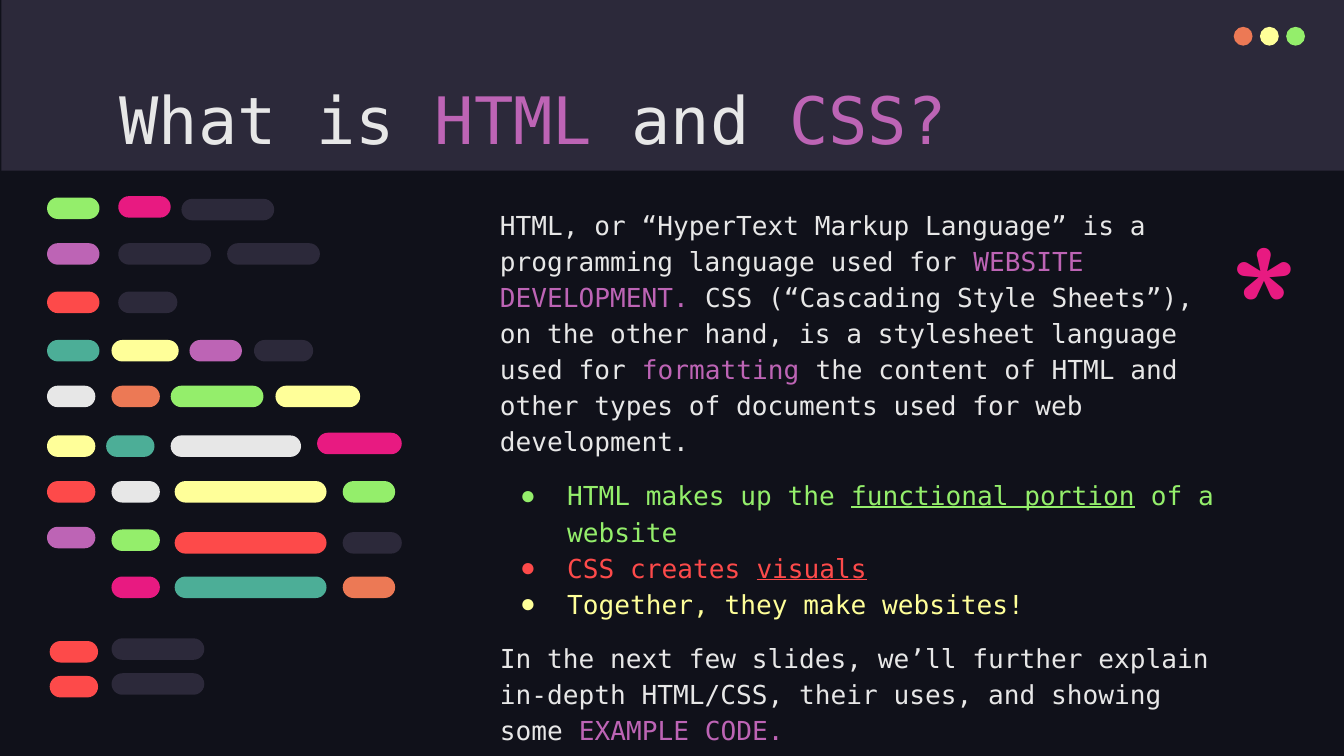
import pptx
import pptx.util
import pptx.dml.color
import pptx.enum.shapes
import pptx.enum.text
import pptx.oxml.ns
from dataclasses import dataclass
from typing import Any, NamedTuple
from lxml import etree

Shape = pptx.enum.shapes.MSO_SHAPE
Align = pptx.enum.text.PP_ALIGN


@dataclass(frozen=True)
class Theme:
    back: str = "10111A"
    bar: str = "2C293A"
    white: str = "E7E7E7"
    plum: str = "BD64B5"
    pink: str = "E81A81"
    red: str = "FD4A4A"
    orange: str = "EC7955"
    yellow: str = "FFFF99"
    green: str = "94EE6B"
    teal: str = "4CAE97"
    mono: str = "DejaVu Sans Mono"
    round: str = "Comfortaa"
    title: int = 35
    body: int = 14
    star: int = 96


class Box(NamedTuple):
    """Left, top, width and height in grid columns and rows."""
    x: float
    y: float
    w: float
    h: float


class Pill(NamedTuple):
    x: float
    y: float
    w: float
    color: str


class Span(NamedTuple):
    text: str
    color: str
    line: bool = False


class Para(NamedTuple):
    spans: list[Span]
    gap: float = 0
    bullet: bool = False


T = Theme()
WIDE = pptx.util.Inches(10)
HIGH = WIDE * 9 // 16
COLS = 1000
UNIT = WIDE // COLS  # square grid cell
PILL = 16  # pill height in rows


def rgb(color: str) -> Any:
    return pptx.dml.color.RGBColor.from_string(color)


def place(box: Box) -> list[int]:
    return [round(v * UNIT) for v in box]


def draw(shapes: Any, kind: Any, box: Box, color: str) -> Any:
    shape = shapes.add_shape(kind, *place(box))
    shape.shadow.inherit = False
    shape.fill.solid()
    shape.fill.fore_color.rgb = rgb(color)
    shape.line.fill.background()
    return shape


def frame(shape: Any, box: Box) -> Any:
    shape.left, shape.top, shape.width, shape.height = place(box)
    text = shape.text_frame
    text.word_wrap = True
    text.auto_size = pptx.enum.text.MSO_AUTO_SIZE.NONE
    text.vertical_anchor = pptx.enum.text.MSO_ANCHOR.TOP
    text.margin_left = text.margin_right = 10 * UNIT
    text.margin_top = text.margin_bottom = 10 * UNIT
    return text


def mark(para: Any, item: Para) -> None:
    """Set the indent and bullet of a paragraph."""
    props = para._p.get_or_add_pPr()
    props.set("marL", str(50 * UNIT if item.bullet else 0))
    props.set("indent", str(-35 * UNIT if item.bullet else 0))
    name = pptx.oxml.ns.qn
    if item.bullet:
        tint = etree.SubElement(props, name("a:buClr"))
        etree.SubElement(tint, name("a:srgbClr"), val=item.spans[0].color)
        etree.SubElement(props, name("a:buChar"), char="●")
    else:
        etree.SubElement(props, name("a:buNone"))


def write(text: Any, items: list[Para], size: int, font: str, pitch: float = 1) -> None:
    for i, item in enumerate(items):
        para = text.add_paragraph() if i else text.paragraphs[0]
        mark(para, item)
        para.alignment = Align.LEFT
        para.line_spacing = pitch
        para.space_before = pptx.util.Pt(item.gap)
        para.font.name = font
        para.font.size = pptx.util.Pt(size)
        for span in item.spans:
            run = para.add_run()
            run.text = span.text
            run.font.color.rgb = rgb(span.color)
            if span.line:
                run.font.underline = True


TITLE = [Para([Span("What is ", T.white), Span("HTML ", T.plum),
               Span("and ", T.white), Span("CSS?", T.plum)])]

BODY = [
    Para([Span("HTML, or “HyperText Markup Language” is a programming language used for ", T.white),
          Span("WEBSITE DEVELOPMENT. ", T.plum),
          Span("CSS (“Cascading Style Sheets”), on the other hand, is a stylesheet "
               "language used for ", T.white),
          Span("formatting", T.plum),
          Span(" the content of HTML and other types of documents used for web "
               "development.", T.white)]),
    Para([Span("HTML makes up the ", T.green), Span("functional portion", T.green, True),
          Span(" of a website", T.green)], 10, True),
    Para([Span("CSS creates ", T.red), Span("visuals", T.red, True)], 0, True),
    Para([Span("Together, they make websites!", T.yellow)], 0, True),
    Para([Span("In the next few slides, we’ll further explain in-depth HTML/CSS, "
               "their uses, and showing some", T.white),
          Span(" EXAMPLE CODE.", T.plum)], 10),
]

# Mock code, line by line
PILLS = [
    Pill(35, 147, 39, T.green), Pill(88, 146, 39, T.pink), Pill(135, 148, 69, T.bar),
    Pill(35, 181, 39, T.plum), Pill(88, 181, 69, T.bar), Pill(169, 181, 69, T.bar),
    Pill(35, 217, 39, T.red), Pill(88, 217, 44, T.bar),
    Pill(35, 253, 39, T.teal), Pill(83, 253, 50, T.yellow),
    Pill(141, 253, 39, T.plum), Pill(189, 253, 44, T.bar),
    Pill(35, 287, 36, T.white), Pill(83, 287, 36, T.orange),
    Pill(127, 287, 69, T.green), Pill(205, 287, 63, T.yellow),
    Pill(35, 324, 36, T.yellow), Pill(79, 324, 36, T.teal),
    Pill(127, 324, 97, T.white), Pill(236, 322, 63, T.pink),
    Pill(35, 358, 36, T.red), Pill(83, 358, 36, T.white),
    Pill(130, 358, 113, T.yellow), Pill(255, 358, 39, T.green),
    Pill(35, 392, 36, T.plum), Pill(83, 394, 36, T.green),
    Pill(130, 396, 113, T.red), Pill(255, 396, 44, T.bar),
    Pill(83, 429, 36, T.pink), Pill(130, 429, 113, T.teal), Pill(255, 429, 39, T.orange),
    Pill(37, 477, 36, T.red), Pill(83, 475, 69, T.bar),
    Pill(37, 503, 36, T.red), Pill(83, 501, 69, T.bar),
]


def main() -> None:
    deck = pptx.Presentation()
    deck.slide_width, deck.slide_height = WIDE, HIGH
    slide = deck.slides.add_slide(deck.slide_layouts[1])
    slide.background.fill.solid()
    slide.background.fill.fore_color.rgb = rgb(T.back)
    shapes = slide.shapes

    # Header bar, sent behind the title
    bar = draw(shapes, Shape.RECTANGLE, Box(1, 0, COLS - 1, 127), T.bar)
    shapes._spTree.insert(2, bar._element)

    # Window buttons
    dots = shapes.add_group_shape().shapes
    for i, color in enumerate((T.orange, T.yellow, T.green)):
        draw(dots, Shape.OVAL, Box(918 + 19.5 * i, 20, 14, 14), color)

    # Title and body
    write(frame(shapes.title, Box(79, 49, 843, 63)), TITLE, T.title, T.mono)
    write(frame(slide.placeholders[1], Box(362, 142, 560, 336)), BODY, T.body, T.mono, 1.15)

    # Code pills
    code = shapes.add_group_shape().shapes
    for pill in PILLS:
        shape = draw(code, Shape.ROUNDED_RECTANGLE,
                     Box(pill.x, pill.y, pill.w, PILL), pill.color)
        shape.adjustments[0] = 0.5

    # Asterisk
    spot = Box(905, 146, 57, 87)
    star = frame(shapes.add_textbox(*place(spot)), spot)
    write(star, [Para([Span("*", T.pink)])], T.star, T.round)

    deck.save("out.pptx")


if __name__ == "__main__":
    main()
